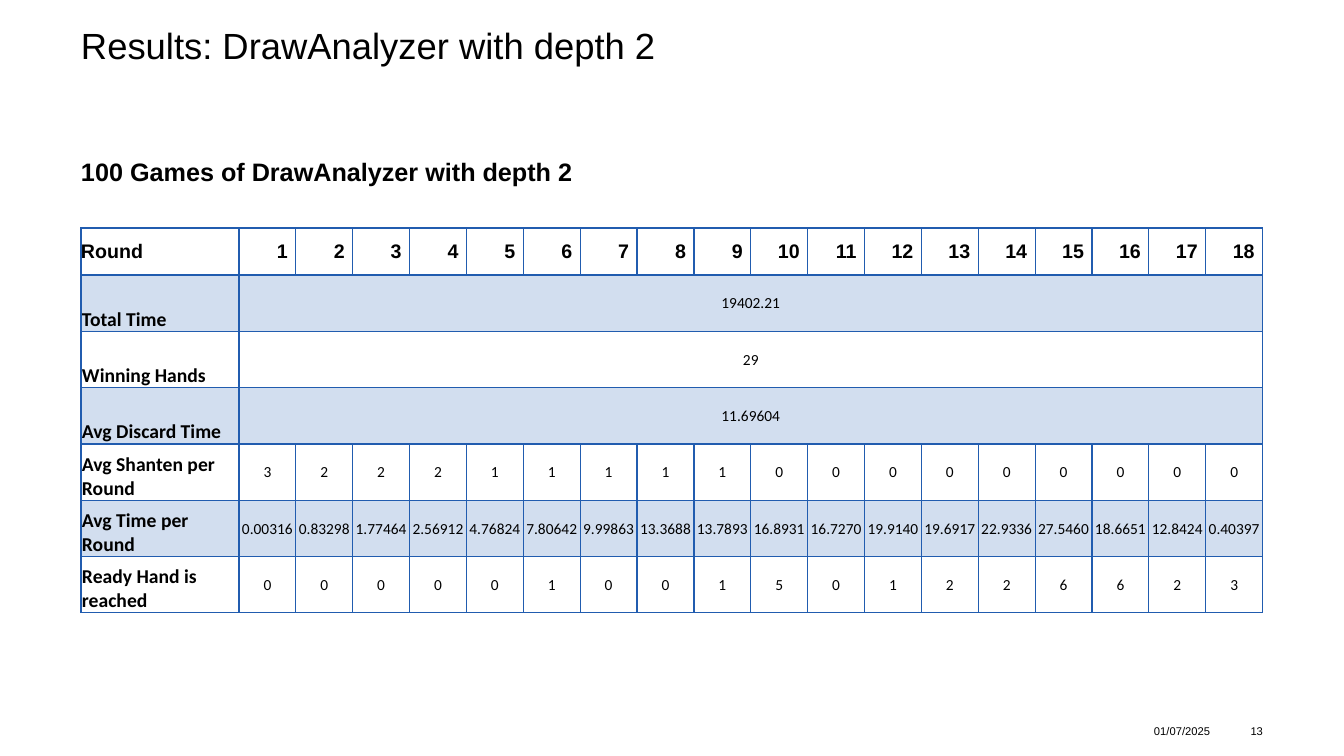
from dataclasses import dataclass

from lxml.etree import SubElement
from pptx import Presentation
from pptx.dml.color import RGBColor
from pptx.enum.text import MSO_ANCHOR, PP_ALIGN
from pptx.oxml.ns import qn
from pptx.util import Pt

EMU_PER_PX = 914400 / 100.8


@dataclass(frozen=True)
class Theme:
    """Colours, fonts and type sizes of the slide."""

    ink: str = "000000"
    accent: str = "215CAF"
    band_alpha: int = 20000
    heading_font: str = "Arial"
    value_font: str = "Calibri"
    title: int = 26
    subtitle: int = 18
    label: int = 14
    value: int = 11
    footer: int = 8
    grid_line: int = 1
    header_line: int = 2


THEME = Theme()

ROUNDS = range(1, 19)
RESULTS = [
    ("Total Time", ["19402.21"]),
    ("Winning Hands", ["29"]),
    ("Avg Discard Time", ["11.69604"]),
    ("Avg Shanten per Round", "3 2 2 2 1 1 1 1 1 0 0 0 0 0 0 0 0 0".split()),
    ("Avg Time per Round", (
        "0.00316 0.83298 1.77464 2.56912 4.76824 7.80642 9.99863 13.3688 13.7893 "
        "16.8931 16.7270 19.9140 19.6917 22.9336 27.5460 18.6651 12.8424 0.40397"
    ).split()),
    ("Ready Hand is reached", "0 0 0 0 0 1 0 0 1 5 0 1 2 2 6 6 2 3".split()),
]


def px(length):
    """Turn pixels into EMU."""
    return round(length * EMU_PER_PX)


def apply_format(target, values):
    """Set every attribute named in a dict of format values."""
    for name, value in values.items():
        setattr(target, name, value)


def margins(left, top, right, bottom):
    """Return the four text margins as format values."""
    return {
        "margin_left": px(left),
        "margin_top": px(top),
        "margin_right": px(right),
        "margin_bottom": px(bottom),
    }


def write_text(frame, text, size, font=THEME.heading_font, bold=False, **paragraph_format):
    """Write one formatted paragraph into a text frame."""
    paragraph = frame.paragraphs[0]
    apply_format(paragraph, paragraph_format)
    run = paragraph.add_run()
    run.text = text
    apply_format(run.font, {"name": font, "size": Pt(size), "bold": bold})
    run.font.color.rgb = RGBColor.from_string(THEME.ink)


def add_text(slide, box, text, size, anchor=MSO_ANCHOR.TOP, **text_format):
    """Add a text box without margins."""
    frame = slide.shapes.add_textbox(*map(px, box)).text_frame
    apply_format(frame, {"word_wrap": True, "vertical_anchor": anchor, **margins(0, 0, 0, 0)})
    write_text(frame, text, size, **text_format)


def draw_borders(cell, top, bottom):
    """Rule the four sides of a cell, with given top and bottom widths."""
    properties = cell._tc.get_or_add_tcPr()
    widths = {"lnL": THEME.grid_line, "lnR": THEME.grid_line, "lnT": top, "lnB": bottom}
    for side, width in widths.items():
        line = SubElement(properties, qn(f"a:{side}"), w=str(Pt(width)))
        fill = SubElement(line, qn("a:solidFill"))
        SubElement(fill, qn("a:srgbClr"), val=THEME.accent)


def fill_cell(cell, banded):
    """Tint a banded cell and leave any other cell clear."""
    if not banded:
        cell.fill.background()
        return
    cell.fill.solid()
    cell.fill.fore_color.rgb = RGBColor.from_string(THEME.accent)
    colour = cell._tc.tcPr.find(f"{qn('a:solidFill')}/{qn('a:srgbClr')}")
    SubElement(colour, qn("a:alpha"), val=str(THEME.band_alpha))


def style_grid(table):
    """Set borders, fills and margins of all cells."""
    for row_index, row in enumerate(table.rows):
        top = THEME.header_line if row_index == 1 else THEME.grid_line
        bottom = THEME.header_line if row_index == 0 else THEME.grid_line
        cell_margins = margins(1, 1, 1, 0) if row_index else margins(0, 0, 8, 0)
        for cell in row.cells:
            draw_borders(cell, top, bottom)
            fill_cell(cell, banded=row_index % 2 == 1)
            apply_format(cell, {"vertical_anchor": MSO_ANCHOR.MIDDLE, **cell_margins})


def size_grid(table, width, height, label_width=158, header_height=47):
    """Share the space beside the labels and below the header equally."""
    columns, rows = list(table.columns), list(table.rows)
    columns[0].width = px(label_width)
    rows[0].height = px(header_height)
    for column in columns[1:]:
        column.width = px((width - label_width) / (len(columns) - 1))
    for row in rows[1:]:
        row.height = px((height - header_height) / (len(rows) - 1))


def add_results_table(slide, box):
    """Add the table of results by round."""
    column_count = len(ROUNDS) + 1
    table = slide.shapes.add_table(len(RESULTS) + 1, column_count, *map(px, box)).table
    apply_format(table, {"first_row": False, "horz_banding": False})
    size_grid(table, *box[2:])
    style_grid(table)

    write_text(table.cell(0, 0).text_frame, "Round", THEME.label, bold=True)
    for number in ROUNDS:
        write_text(table.cell(0, number).text_frame, str(number), THEME.label,
                   bold=True, alignment=PP_ALIGN.RIGHT)

    for row_index, (label, values) in enumerate(RESULTS, start=1):
        label_cell = table.cell(row_index, 0)
        label_cell.vertical_anchor = MSO_ANCHOR.BOTTOM
        write_text(label_cell.text_frame, label, THEME.label, THEME.value_font, bold=True)
        if len(values) == 1:
            table.cell(row_index, 1).merge(table.cell(row_index, column_count - 1))
        for column_index, value in enumerate(values, start=1):
            write_text(table.cell(row_index, column_index).text_frame, value, THEME.value,
                       THEME.value_font, alignment=PP_ALIGN.CENTER)


def add_headings(slide, box):
    """Add the title and the subtitle below it."""
    left, top, width, height = box
    add_text(slide, (left, top, width, 99), "Results: DrawAnalyzer with depth 2",
             THEME.title, line_spacing=0.9)
    add_text(slide, (left, top + height - 43, width, 43),
             "100 Games of DrawAnalyzer with depth 2",
             THEME.subtitle, bold=True, space_before=Pt(10))


def add_footer(slide, box):
    """Add the date and, at the right end, the slide number."""
    left, top, width, height = box
    number_width = 35
    add_text(slide, (left, top, 68, height), "01/07/2025", THEME.footer, MSO_ANCHOR.MIDDLE)
    add_text(slide, (left + width - number_width, top, number_width, height), "13",
             THEME.footer, MSO_ANCHOR.MIDDLE, alignment=PP_ALIGN.RIGHT)


def main():
    """Build the slide and save it."""
    presentation = Presentation()
    apply_format(presentation, {"slide_width": px(1344), "slide_height": px(756)})
    slide = presentation.slides.add_slide(presentation.slide_layouts[6])
    add_headings(slide, (81, 28, 1182, 171))
    add_results_table(slide, (81, 228, 1182, 385))
    add_footer(slide, (1154, 719, 109, 24))
    presentation.save("out.pptx")


if __name__ == "__main__":
    main()
